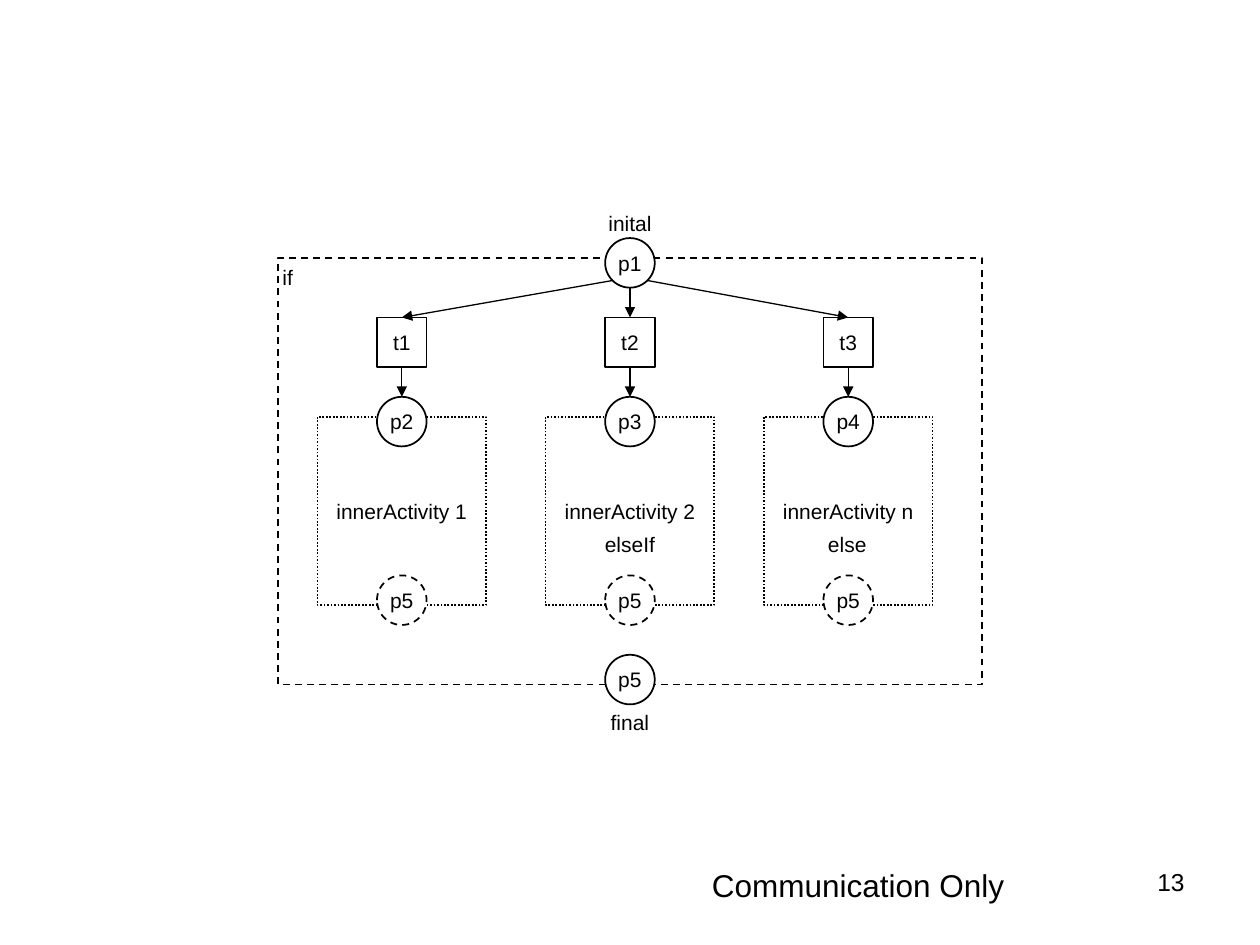
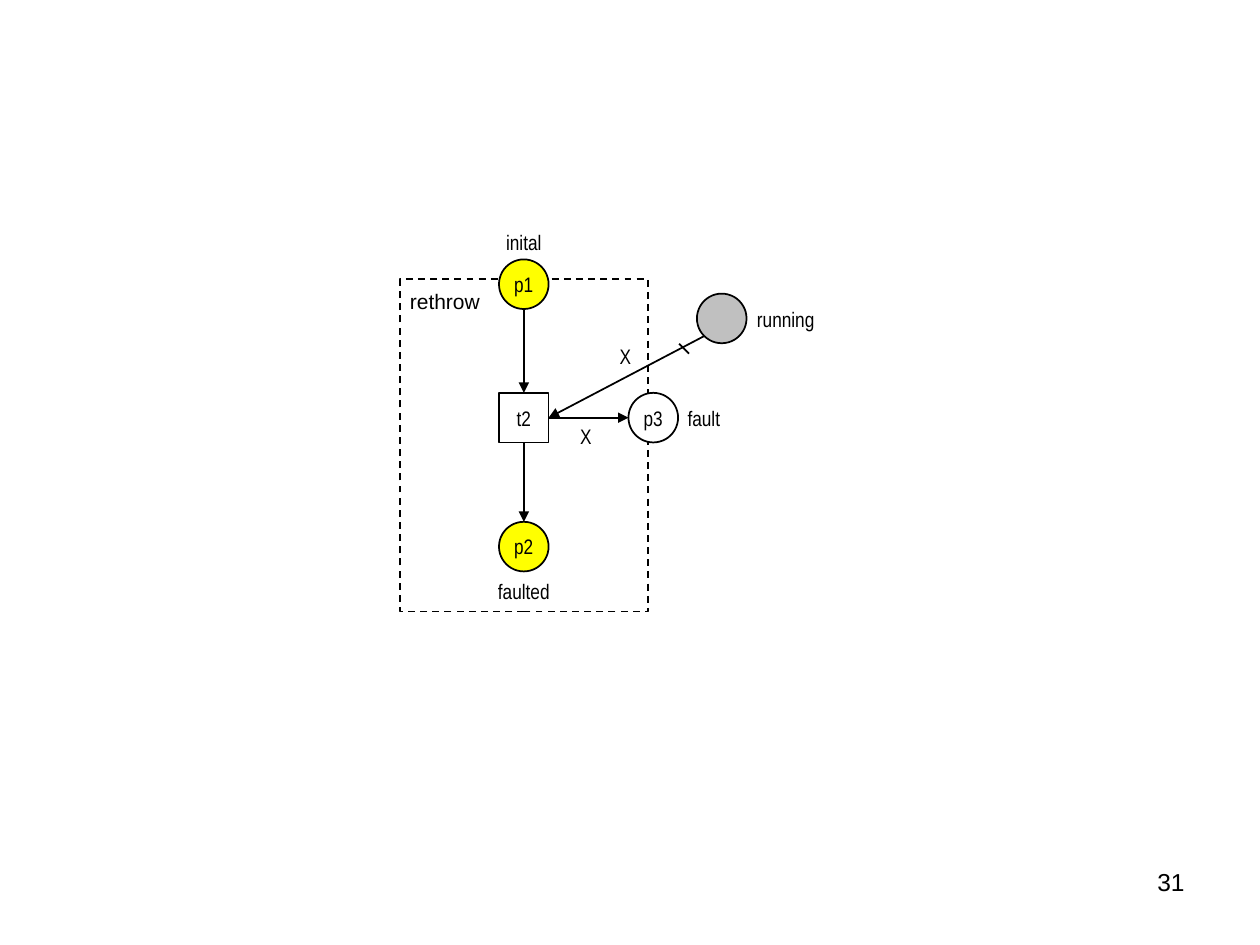
from lxml import etree
from pptx import Presentation
from pptx import util as u
from pptx.dml.color import RGBColor
from pptx.enum import dml, shapes, text
from pptx.oxml.ns import qn

CELL = u.Mm(2)  # both diagrams sit on a 2 mm grid
NODE = 5  # side of a place or transition, in cells
HALF = NODE / 2
DIAGONAL = HALF * 0.71  # offset of a circle's 45 degree point from its centre
LABEL_HEIGHT = 2.5
BLACK, WHITE, YELLOW, GREY = "000000", "FFFFFF", "FFFF00", "C0C0C0"
DASH, DOT = dml.MSO_LINE.DASH, dml.MSO_LINE.ROUND_DOT
RECTANGLE, CIRCLE = shapes.MSO_SHAPE.RECTANGLE, shapes.MSO_SHAPE.OVAL
LEFT, CENTER, RIGHT = text.PP_ALIGN.LEFT, text.PP_ALIGN.CENTER, text.PP_ALIGN.RIGHT
WIDE, NARROW = "Arial", "Arial Narrow"
color = RGBColor.from_string


def add_box(slide, kind, left, top, width=NODE, height=NODE, caption="", font=WIDE,
            fill=WHITE, dash=None, size=12, align=CENTER, padded=True):
    """Add a preset shape, or a plain text box when kind is None; lengths in cells."""
    place = [round(length * CELL) for length in (left, top, width, height)]
    if kind is None:
        shape = slide.shapes.add_textbox(*place)
    else:
        shape = slide.shapes.add_shape(kind, *place)
        shape.shadow.inherit = False
        shape.line.color.rgb = color(BLACK)
        shape.line.width = u.Pt(1)
        if dash:
            shape.line.dash_style = dash
        if fill:
            shape.fill.solid()
            shape.fill.fore_color.rgb = color(fill)
        else:
            shape.fill.background()
    if caption:
        frame = shape.text_frame
        frame.text = caption
        frame.word_wrap = align == RIGHT
        frame.vertical_anchor = text.MSO_ANCHOR.TOP if kind is None else text.MSO_ANCHOR.MIDDLE
        if not padded:
            frame.margin_left = frame.margin_right = frame.margin_top = frame.margin_bottom = 0
        paragraph = frame.paragraphs[0]
        paragraph.alignment = align
        run_font = paragraph.runs[0].font
        run_font.name, run_font.size = font, u.Pt(size)
        run_font.color.rgb = color(BLACK)


def add_line(slide, start, end, width=1, arrow=True):
    ends = [round(length * CELL) for length in (*start, *end)]
    connector = slide.shapes.add_connector(shapes.MSO_CONNECTOR.STRAIGHT, *ends)
    connector.line.color.rgb = color(BLACK)
    connector.line.width = u.Pt(width)
    if arrow:
        outline = connector.line._get_or_add_ln()
        etree.SubElement(outline, qn("a:tailEnd"), type="triangle")
    etree.SubElement(connector._element.spPr, qn("a:effectLst"))


presentation = Presentation()
presentation.slide_width, presentation.slide_height = u.Inches(10), u.Inches(7.5)
blank_layout = presentation.slide_layouts[6]
if_slide, rethrow_slide = [presentation.slides.add_slide(blank_layout) for _ in range(2)]

# Slide "if": one branch per column
middle = 63.5
add_box(if_slide, RECTANGLE, 28, 26, 71, 43, fill=None, dash=DASH)
for place, top in (("p1", 24), ("p5", 66)):
    add_box(if_slide, CIRCLE, middle - HALF, top, caption=place)

branches = [
    (40.5, "t1", "p2", "innerActivity 1", -DIAGONAL),
    (63.5, "t2", "p3", "innerActivity 2", 0),
    (85.5, "t3", "p4", "innerActivity n", DIAGONAL),
]
for center, transition, place, activity, exit_shift in branches:
    left = center - HALF
    add_box(if_slide, RECTANGLE, center - 8.5, 42, 17, 19, activity, dash=DOT)
    add_box(if_slide, RECTANGLE, left, 32, caption=transition)
    add_box(if_slide, CIRCLE, left, 40, caption=place)
    add_box(if_slide, CIRCLE, left, 58, caption="p5", dash=DASH)
    exit_drop = DIAGONAL if exit_shift else HALF
    add_line(if_slide, (middle + exit_shift, 24 + HALF + exit_drop), (center, 32), 0.75)
    add_line(if_slide, (center, 37), (center, 40), 0.75)
add_box(if_slide, None, 70.5, 86.65, 32, 5.1, "Communication Only", size=18, align=LEFT)

# Slide "rethrow": the main flow runs down, the fault leaves to the right
flow = 52.8
fault_row = 42.1
add_box(rethrow_slide, RECTANGLE, 40.35, 28.15, 25, 33.5, fill=None, dash=DASH)
nodes = [
    (CIRCLE, flow, 28.65, "p1", YELLOW),
    (RECTANGLE, flow, fault_row, "t2", WHITE),
    (CIRCLE, flow, 55.1, "p2", YELLOW),
    (CIRCLE, 65.85, fault_row, "p3", WHITE),
    (CIRCLE, 72.75, 32.1, "", GREY),
]
for kind, x, y, caption, fill in nodes:
    add_box(rethrow_slide, kind, x - HALF, y - HALF, caption=caption, font=NARROW, fill=fill)

arrows = [
    ((flow, 28.65 + HALF), (flow, fault_row - HALF)),
    ((flow, fault_row + HALF), (flow, 55.1 - HALF)),
    ((flow + HALF, fault_row), (65.85 - HALF, fault_row)),
    ((72.75 - DIAGONAL, 32.1 + DIAGONAL), (flow + HALF, fault_row)),
]
for start, end in arrows:
    add_line(rethrow_slide, start, end)
add_line(rethrow_slide, (68.45, 34.65), (69.45, 35.65), arrow=False)

# Labels are centred on a point and a little wider than their words
labels = [
    (if_slide, "inital", middle, 21.2, 5.5, WIDE),
    (if_slide, "final", middle, 71.5, 5, WIDE),
    (if_slide, "if", 29, 26.7, 1.8, WIDE),
    (if_slide, "elseIf", middle, 53.6, 6, WIDE),
    (if_slide, "else", 85.4, 53.6, 5, WIDE),
    (rethrow_slide, "running", 79.2, 30.9, 6.8, NARROW),
    (rethrow_slide, "inital", flow, 23.1, 4.6, NARROW),
    (rethrow_slide, "faulted", flow, 58.3, 6.4, NARROW),
    (rethrow_slide, "rethrow", 44.85, 29.1, 8, WIDE),
    (rethrow_slide, "fault", 70.95, 40.9, 4.4, NARROW),
    (rethrow_slide, "X", 59.05, 42.65, 2, NARROW),
    (rethrow_slide, "X", 63.05, 34.65, 2, NARROW),
]
for slide, caption, center, top, width, font in labels:
    add_box(slide, None, center - width / 2, top, width, LABEL_HEIGHT, caption, font, padded=False)

for slide, number in ((if_slide, "13"), (rethrow_slide, "31")):
    add_box(slide, None, 91.05, 86.75, 29.6, 6.6, number, size=14, align=RIGHT)

presentation.save("out.pptx")
